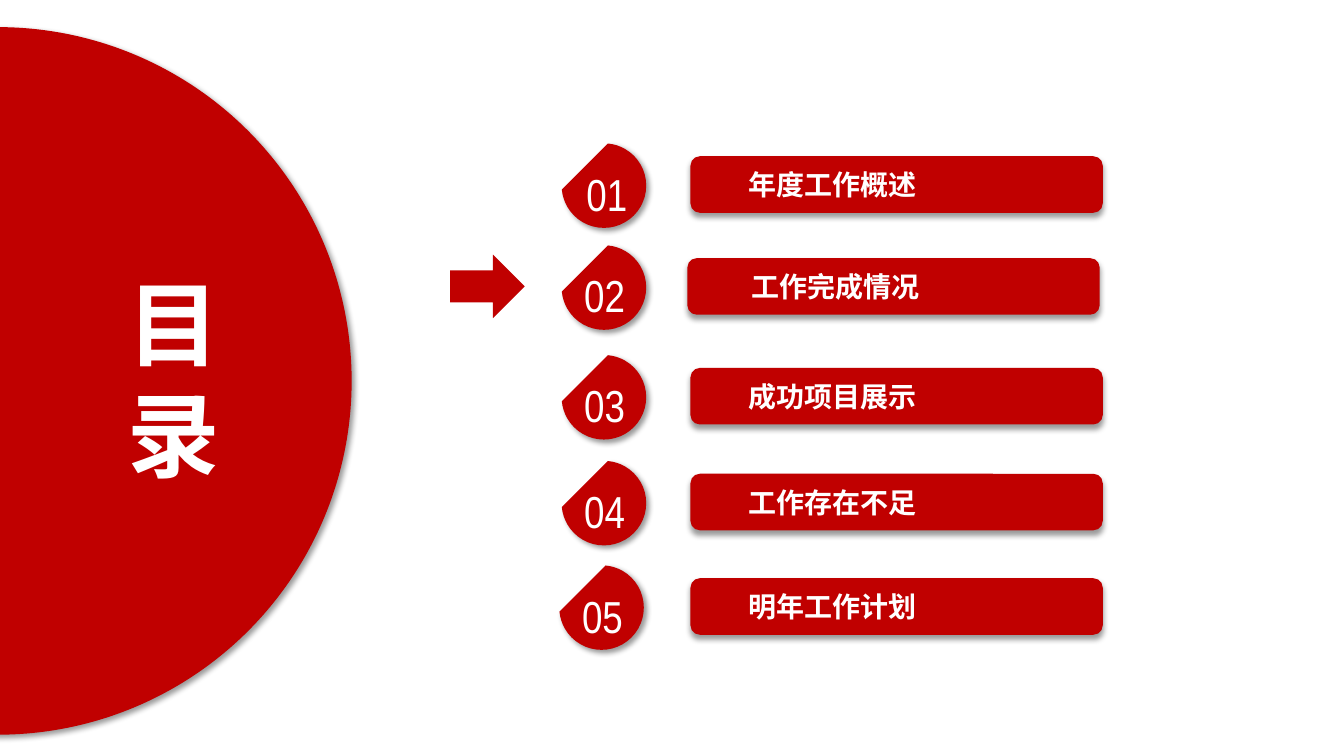
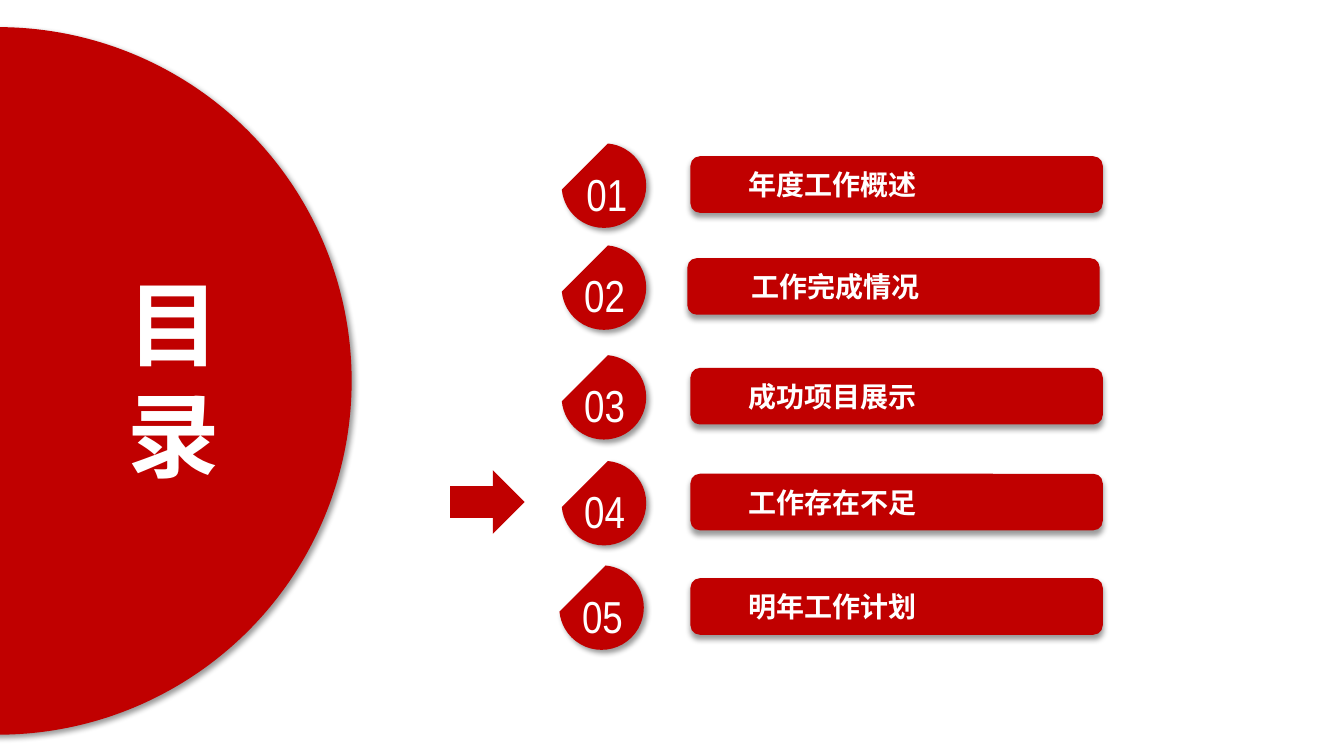
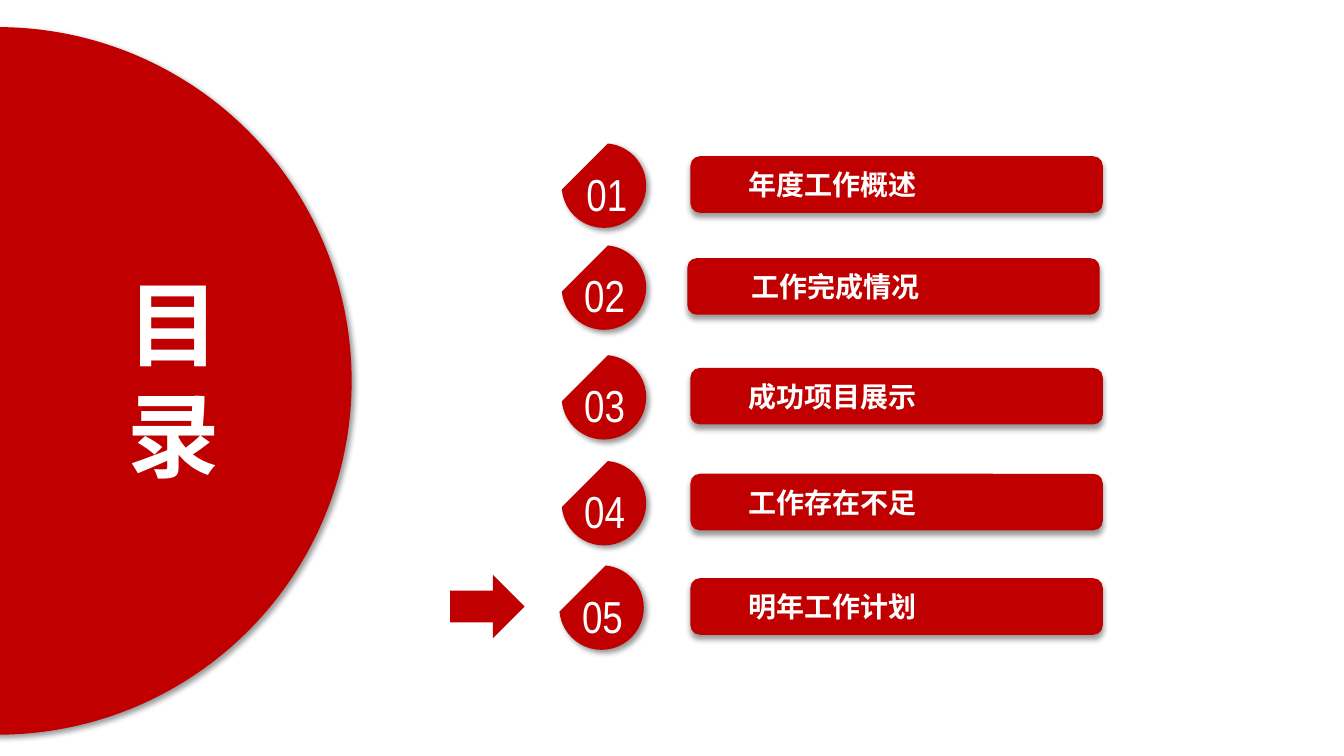
from lxml import etree
from pptx import Presentation
from pptx.dml.color import RGBColor
from pptx.enum.shapes import MSO_SHAPE
from pptx.enum.text import MSO_ANCHOR, PP_ALIGN
from pptx.oxml.ns import qn
from pptx.util import Pt

OVAL = MSO_SHAPE.OVAL
CHORD = MSO_SHAPE.CHORD
ROUND = MSO_SHAPE.ROUNDED_RECTANGLE
ARROW = MSO_SHAPE.RIGHT_ARROW
LEFT, CENTER = PP_ALIGN.LEFT, PP_ALIGN.CENTER
TOP, MIDDLE = MSO_ANCHOR.TOP, MSO_ANCHOR.MIDDLE

COLORS = {"red": "C00000", "white": "FFFFFF", "shade": "000000"}
HAN, LATIN = "Noto Sans CJK SC", "Arial Narrow"

# Agenda rows: label, bar top, bar left, label indent, badge left, number left
ROWS = [
    ("年度工作概述", 111.6, 493.2, 39.6, 401.2, 411.8),
    ("工作完成情况", 184.4, 491, 43.9, 401.2, 410.2),
    ("成功项目展示", 262.8, 493.2, 39.6, 401.2, 410.2),
    ("工作存在不足", 338.4, 493.2, 39.6, 401.2, 410.2),
    ("明年工作计划", 413, 493.2, 39.6, 399.5, 408.7),
]
BAR_W, BAR_H = 294.5, 40.4
BADGE = 60.4
ARROW_W, ARROW_H = 53.3, 45.4


class Deck:
    def __init__(self):
        self.prs = Presentation()
        self.prs.slide_width, self.prs.slide_height = Pt(960), Pt(540)
        self.slide = None

    def new(self):
        self.slide = self.prs.slides.add_slide(self.prs.slide_layouts[6])

    def shape(self, kind, x, y, w, h, angle=None):
        """Red shape without outline; angle is the direction of its shadow."""
        item = self.slide.shapes.add_shape(kind, Pt(x), Pt(y), Pt(w), Pt(h))
        item.fill.solid()
        item.fill.fore_color.rgb = RGBColor.from_string(COLORS["red"])
        item.line.fill.background()
        item.shadow.inherit = False
        if angle is not None:
            self.shade(item, angle)
        return item

    def shade(self, item, angle):
        effects = item._element.spPr.find(qn("a:effectLst"))
        outer = etree.SubElement(
            effects, qn("a:outerShdw"), blurRad=str(Pt(4)), dist=str(Pt(3)),
            dir=str(angle * 60000), algn="ctr", rotWithShape="0")
        color = etree.SubElement(outer, qn("a:srgbClr"), val=COLORS["shade"])
        etree.SubElement(color, qn("a:alpha"), val="40000")

    def box(self, x, y, w, h):
        return self.slide.shapes.add_textbox(Pt(x), Pt(y), Pt(w), Pt(h))

    def text(self, item, lines, size, font, bold=False, align=LEFT,
             anchor=TOP, pad=(7.2, 3.6)):
        frame = item.text_frame
        frame.word_wrap = True
        frame.vertical_anchor = anchor
        frame.margin_left = frame.margin_right = Pt(pad[0])
        frame.margin_top = frame.margin_bottom = Pt(pad[1])
        for i, line in enumerate(lines):
            para = frame.add_paragraph() if i else frame.paragraphs[0]
            para.alignment = align
            run = para.add_run()
            run.text = line
            run.font.size = Pt(size)
            run.font.bold = bold
            run.font.name = font
            run.font.color.rgb = RGBColor.from_string(COLORS["white"])
            props = run._r.get_or_add_rPr()
            etree.SubElement(props, qn("a:ea"), typeface=font)

    def title(self, lines):
        self.shape(OVAL, -254.2, 19.4, 505.4, 505.4, 45)
        self.text(self.box(72, 185.8, 104.4, 169.9), lines, 66, HAN, True,
                  CENTER, pad=(9.4, 5))

    def badge(self, num, x, y, left):
        disc = self.shape(CHORD, x, y - 9.2, BADGE, BADGE, 45)
        # Chord ends at 275.5 and 174.5 degrees
        for i, angle in enumerate((275.5, 174.5)):
            disc.adjustments[i] = angle * 0.6
        self.text(self.box(left, y + 3.6, 52.6, 46), [f"{num:02}"], 32, LATIN)

    def bar(self, label, x, y, indent):
        item = self.shape(ROUND, x, y, BAR_W, BAR_H, 90)
        self.text(item, [label], 20, HAN, True, anchor=MIDDLE,
                  pad=(indent, 0))

    def arrow(self, y):
        self.shape(ARROW, 321.5, y + (BAR_H - ARROW_H) / 2, ARROW_W, ARROW_H)

    def agenda(self, pick):
        self.new()
        self.title(["目", "录"])
        for num, (label, y, x, indent, disc, left) in enumerate(ROWS, 1):
            self.badge(num, disc, y, left)
            self.bar(label, x, y, indent)
            if num == pick:
                self.arrow(y)


def main():
    deck = Deck()
    # One agenda slide for each marked chapter
    for pick in (2, 4, 5):
        deck.agenda(pick)
    deck.prs.save("out.pptx")


if __name__ == "__main__":
    main()
